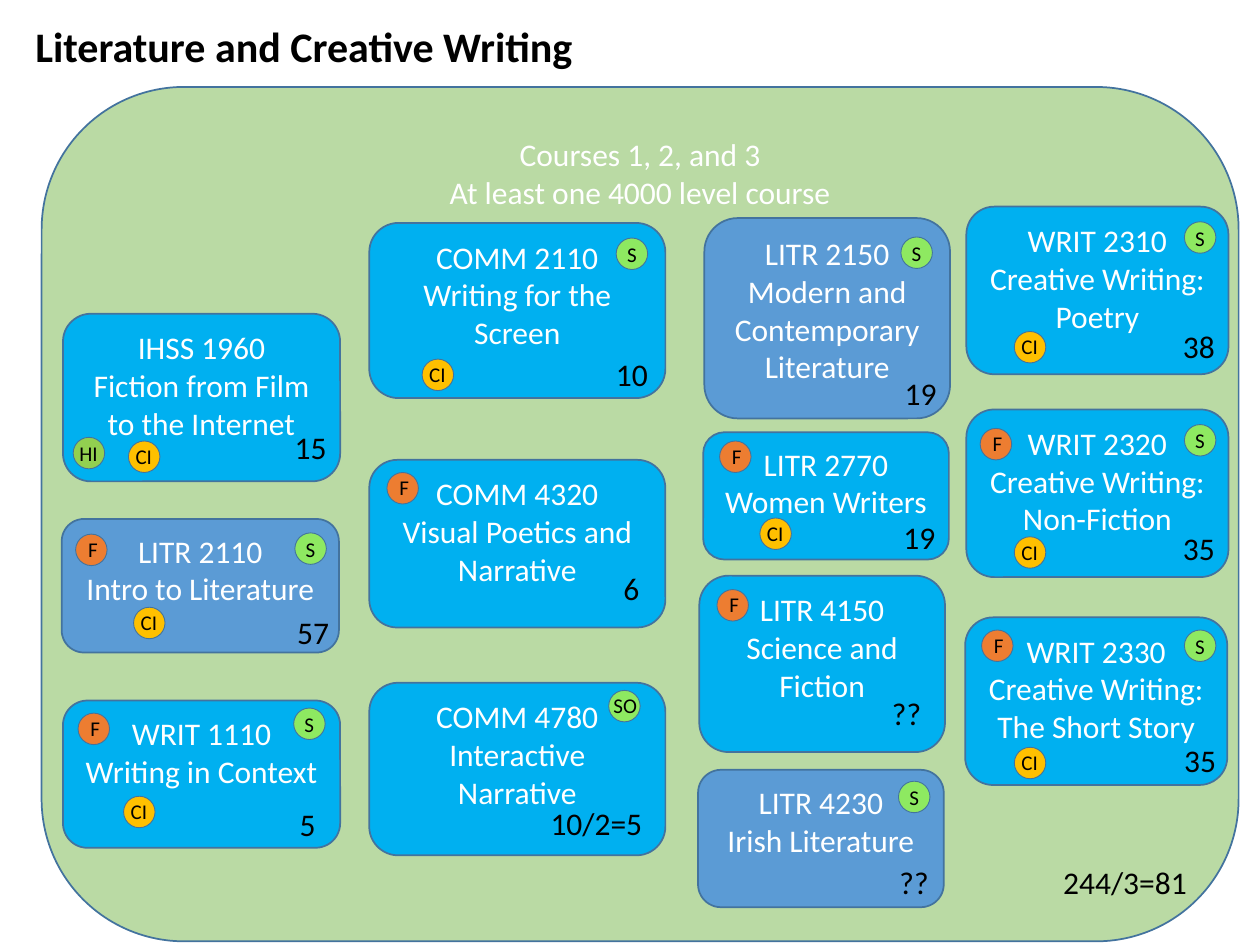
from collections import namedtuple
from dataclasses import dataclass

from lxml.etree import SubElement
from pptx import Presentation
from pptx.dml.color import RGBColor as Rgb
from pptx.enum.shapes import MSO_SHAPE as Shape
from pptx.enum.text import MSO_ANCHOR as Anchor, MSO_AUTO_SIZE as AutoSize, PP_ALIGN as Align
from pptx.oxml.ns import qn
from pptx.util import Pt


@dataclass(frozen=True)
class Theme:
    font: str = "Calibri"
    title_size: float = 24
    body_size: float = 18
    badge_size: float = 12
    dark: str = "000000"
    light: str = "FFFFFF"
    outline: str = "43739E"
    panel: str = "A9D18E"
    open_course: str = "00B0F0"
    core_course: str = "5B9BD5"


Box = namedtuple("Box", "left top width height")
Badge = namedtuple("Badge", "fill dx dy width")
Course = namedtuple("Course", "left top height code name seats badges core", defaults=(False,))

THEME = Theme()
BADGE_DIAMETER = 18
BADGES = {
    "CI": Badge("FFC000", -3, -2.2, 23.8),
    "HI": Badge("92D050", -3.6, -1.8, 25.2),
    "SO": Badge("8EE961", -4.3, -2.2, 28),
    "S": Badge("8EE961", -0.9, -1.6, 20.2),
    "F": Badge("ED7D31", 0, -2.2, 20.2),
}
PANEL = Box(23.8, 49.7, 684, 488.2)
RULES = ["Courses 1, 2, and 3", "At least one 4000 level course"]
TOTAL = ("244/3=81", 576.7, 439.9)

COLUMNS = [
    (158.4, [
        Course(36, 179.3, 95.8, "IHSS 1960", "Fiction from Film to the Internet",
               ("15", 125.3, 61.9), [("HI", 5.8, 70.6), ("CI", 37.4, 72.7)]),
        Course(35.3, 296.6, 76.3, "LITR 2110", "Intro to Literature",
               ("57", 127.4, 50.4), [("F", 7.9, 8.6), ("S", 133.2, 7.9), ("CI", 41, 50.4)], True),
        Course(36, 400.3, 84.2, "WRIT 1110", "Writing in Context",
               ("5", 128.2, 56.2), [("F", 8.6, 7.2), ("S", 131.8, 4.3), ("CI", 34.6, 54.7)]),
    ]),
    (169.2, [
        Course(211, 127.4, 100.1, "COMM 2110", "Writing for the Screen",
               ("10", 133.9, 72), [("S", 141.1, 8.6), ("CI", 30.2, 77.8)]),
        Course(211, 262.8, 95.8, "COMM 4320", "Visual Poetics and Narrative",
               ("6", 138.2, 59), [("F", 10.1, 7.2)]),
        Course(211, 390.2, 98.6, "COMM 4780", "Interactive Narrative",
               ("10/2=5", 96.5, 65.5), [("SO", 136.8, 4.3)]),
    ]),
    (140.4, [
        Course(402.5, 124.6, 114.5, "LITR 2150", "Modern and Contemporary Literature",
               ("19", 107.3, 85.7), [("S", 112.3, 10.8)], True),
        Course(401.8, 247, 72.7, "LITR 2770", "Women Writers",
               ("19", 107.3, 45.4), [("F", 9.4, 5), ("CI", 32.4, 49)]),
        Course(399.6, 329, 100.8, "LITR 4150", "Science and Fiction",
               ("??", 103, 64.1), [("F", 10.1, 7.9)]),
        Course(398.9, 439.9, 78.5, "LITR 4230", "Irish Literature",
               ("??", 108, 49.7), [("S", 114.5, 6.5)], True),
    ]),
    (149.8, [
        Course(552.2, 118.1, 95.8, "WRIT 2310", "Creative Writing: Poetry",
               ("38", 116.6, 65.5), [("S", 124.6, 8.6), ("CI", 27.4, 71.3)]),
        Course(552.2, 234, 95.8, "WRIT 2320", "Creative Writing: Non-Fiction",
               ("35", 116.6, 64.8), [("F", 7.9, 10.8), ("S", 124.6, 8.6), ("CI", 27.4, 72.7)]),
        Course(551.5, 352.8, 95.8, "WRIT 2330", "Creative Writing: The Short Story",
               ("35", 118.1, 67), [("F", 9.4, 7.2), ("S", 125.3, 7.2), ("CI", 28.1, 74.2)]),
    ]),
]


def apply(target, **values):
    for attribute, value in values.items():
        setattr(target, attribute, value)


def in_points(box):
    return [Pt(length) for length in box]


def write(frame, lines, size, color, align=Align.LEFT, bold=False, **frame_format):
    frame.text = "\n".join(lines)
    apply(frame, **frame_format)
    for paragraph in frame.paragraphs:
        paragraph.alignment = align
        apply(paragraph.font, name=THEME.font, size=Pt(size), bold=bold)
        paragraph.font.color.rgb = Rgb.from_string(color)


def add_outlined(shapes, kind, box, fill, line_width):
    outlined = shapes.add_shape(kind, *in_points(box))
    outlined.shadow.inherit = False
    outlined.fill.solid()
    outlined.fill.fore_color.rgb = Rgb.from_string(fill)
    outlined.line.color.rgb = Rgb.from_string(THEME.outline)
    outlined.line.width = Pt(line_width)
    return outlined


def add_label(shapes, box, text, size):
    label = shapes.add_textbox(*in_points(box))
    write(label.text_frame, [text], size, THEME.dark,
          word_wrap=False, auto_size=AutoSize.SHAPE_TO_FIT_TEXT)


def add_block(slide, box, lines, fill):
    block = add_outlined(slide.shapes, Shape.ROUNDED_RECTANGLE, box, fill, 1)
    write(block.text_frame, lines, THEME.body_size, THEME.light, Align.CENTER,
          word_wrap=True, vertical_anchor=Anchor.TOP)
    return block


def add_count(slide, box, text, dx, dy):
    place = Box(box.left + dx, box.top + dy, 14.4 + 9 * len(text), 28.8)
    add_label(slide.shapes, place, text, THEME.body_size)


def add_badge(slide, box, letters, dx, dy):
    badge = BADGES[letters]
    left, top = box.left + dx, box.top + dy
    parts = slide.shapes.add_group_shape().shapes
    add_outlined(parts, Shape.OVAL, Box(left, top, BADGE_DIAMETER, BADGE_DIAMETER), badge.fill, 0.5)
    add_label(parts, Box(left + badge.dx, top + badge.dy, badge.width, 21.6),
              letters, THEME.badge_size)


def add_title(slide, box, text):
    title = slide.shapes.title
    apply(title, **dict(zip(Box._fields, in_points(box))))
    write(title.text_frame, [text], THEME.title_size, THEME.dark, bold=True, word_wrap=False,
          auto_size=AutoSize.SHAPE_TO_FIT_TEXT, vertical_anchor=Anchor.TOP)


def add_panel(slide, box):
    panel = add_block(slide, box, RULES, THEME.panel)
    panel_color = panel.fill._xPr.find(qn("a:solidFill"))[0]
    SubElement(panel_color, qn("a:alpha"), val="80000")


def add_course(slide, box, course):
    fill = THEME.core_course if course.core else THEME.open_course
    add_block(slide, box, [course.code, course.name], fill)
    for badge in course.badges:
        add_badge(slide, box, *badge)
    add_count(slide, box, *course.seats)


def main():
    deck = Presentation()
    apply(deck, slide_width=Pt(720), slide_height=Pt(540))
    slide = deck.slides.add_slide(deck.slide_layouts.get_by_name("Title Only"))
    add_title(slide, Box(13, 7.9, 324.7, 36), "Literature and Creative Writing")
    add_panel(slide, PANEL)
    for width, courses in COLUMNS:
        for course in courses:
            add_course(slide, Box(course.left, course.top, width, course.height), course)
    add_count(slide, PANEL, *TOTAL)
    deck.save("out.pptx")


if __name__ == "__main__":
    main()
